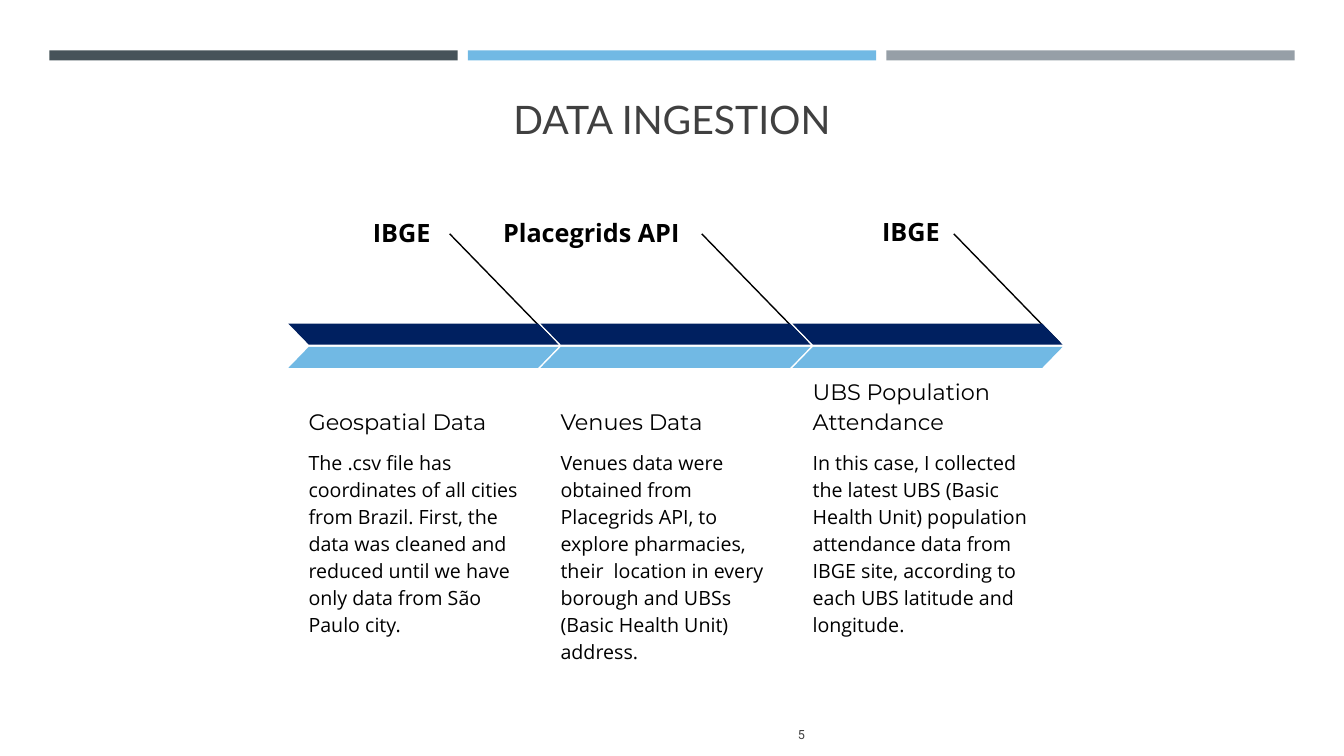
from pptx import Presentation
from pptx.util import Inches, Pt
from pptx.dml.color import RGBColor
from pptx.enum.shapes import MSO_SHAPE as Shape, MSO_CONNECTOR as Line
from pptx.enum.text import PP_ALIGN as Align, MSO_ANCHOR as Anchor, MSO_AUTO_SIZE as Fit
from lxml import etree

TITLE = "DATA INGESTION"
PAGE = "5"
# Source, label box (left, top, width), heading, heading width, details
STEPS = [
    ("IBGE", (3.49, 1.98, 0.91), "Geospatial Data", 2.19,
     "The .csv file has coordinates of all cities from Brazil. First, the data "
     "was cleaned and reduced until we have only data from São Paulo city."),
    ("Placegrids API", (4.58, 1.98, 2.29), "Venues Data", 2.19,
     "Venues data were obtained from Placegrids API, to explore pharmacies, "
     "their  location in every borough and UBSs (Basic Health Unit) address."),
    ("IBGE", (7.72, 1.97, 1.73), "UBS Population Attendance", 2.68,
     "In this case, I collected the latest UBS (Basic Health Unit) population "
     "attendance data from IBGE site, according to each UBS latitude and longitude."),
]
HEX = {"slate": "465359", "sky": "71B9E4", "grey": "969FA7",
       "navy": "002060", "ink": "404040", "black": "000000"}
LEFT, STEP = 2.86, 2.5


def color(name):
    return RGBColor.from_string(HEX[name])


def block(kind, box, fill):
    shape = slide.shapes.add_shape(kind, *map(Inches, box))
    shape.shadow.inherit = False
    shape.fill.solid()
    shape.fill.fore_color.rgb = color(fill)
    shape.line.fill.background()
    return shape


def write(shape, text, font, size, tint="black", bold=False, align=Align.LEFT,
          anchor=Anchor.TOP, inset=0, space=None, after=0):
    frame = shape.text_frame
    frame.text = text
    frame.word_wrap = True
    frame.auto_size = Fit.NONE
    frame.vertical_anchor = anchor
    frame.margin_left = frame.margin_right = Inches(inset)
    frame.margin_top = frame.margin_bottom = Inches(inset)
    para = frame.paragraphs[0]
    para.alignment = align
    para.space_before, para.space_after = Pt(0), Pt(after)
    if space:
        para.line_spacing = space
    face = para.runs[0].font
    face.name, face.size, face.bold = font, Pt(size), bold
    face.color.rgb = color(tint)


def label(box, *args, **style):
    write(slide.shapes.add_textbox(*map(Inches, box)), *args, **style)


def pointer(x1, y1, x2, y2):
    line = slide.shapes.add_connector(Line.STRAIGHT, *map(Inches, (x1, y1, x2, y2)))
    line.line.color.rgb = color("black")
    line.line.width = Pt(1)
    props = line._element.spPr
    etree.SubElement(props, props.nsmap["a"].join("{}") + "effectLst")


deck = Presentation()
deck.slide_width, deck.slide_height = Inches(13.33), Inches(7.5)
slide = deck.slides.add_slide(deck.slide_layouts[5])

# Top bars
for i, fill in enumerate(("slate", "sky", "grey")):
    block(Shape.RECTANGLE, (0.49 + 4.15 * i, 0.5, 4.05, 0.1), fill)

# Title and page number
title = slide.shapes.title
title.left, title.top, title.width, title.height = map(Inches, (0.8, 0.69, 11.73, 0.72))
write(title, TITLE, "Lato", 28, "ink", align=Align.CENTER, anchor=Anchor.BOTTOM)
label((7.55, 7, 0.8, 0.57), PAGE, "Roboto", 9, "ink",
      align=Align.CENTER, anchor=Anchor.MIDDLE)

# Steps: source, heading, details, pointer and two-part arrow
for i, (source, (x, y, w), head, wide, body) in enumerate(STEPS):
    left = LEFT + STEP * i
    label((x, y, w, 0.35), source, "Open Sans", 18, bold=True, align=Align.RIGHT,
          inset=0.13, space=1.15, after=21.3)
    label((left + 0.2, 3.67, wide, 0.65), head, "Montserrat", 16,
          anchor=Anchor.BOTTOM, space=1.15)
    label((left + 0.2, 4.44, 2.25, 2.4), body, "Open Sans", 14, space=1.15, after=21.3)
    pointer(left + 1.6, 2.32, left + 2.65, 3.4)
    for top, fill in ((3.21, "navy"), (3.44, "sky")):
        half = block(Shape.PARALLELOGRAM, (left, top, 2.68, 0.21), fill)
        half.adjustments[0] = 0.97
        if fill == "navy":
            half._element.spPr.xfrm.set("flipH", "1")

deck.save("out.pptx")
